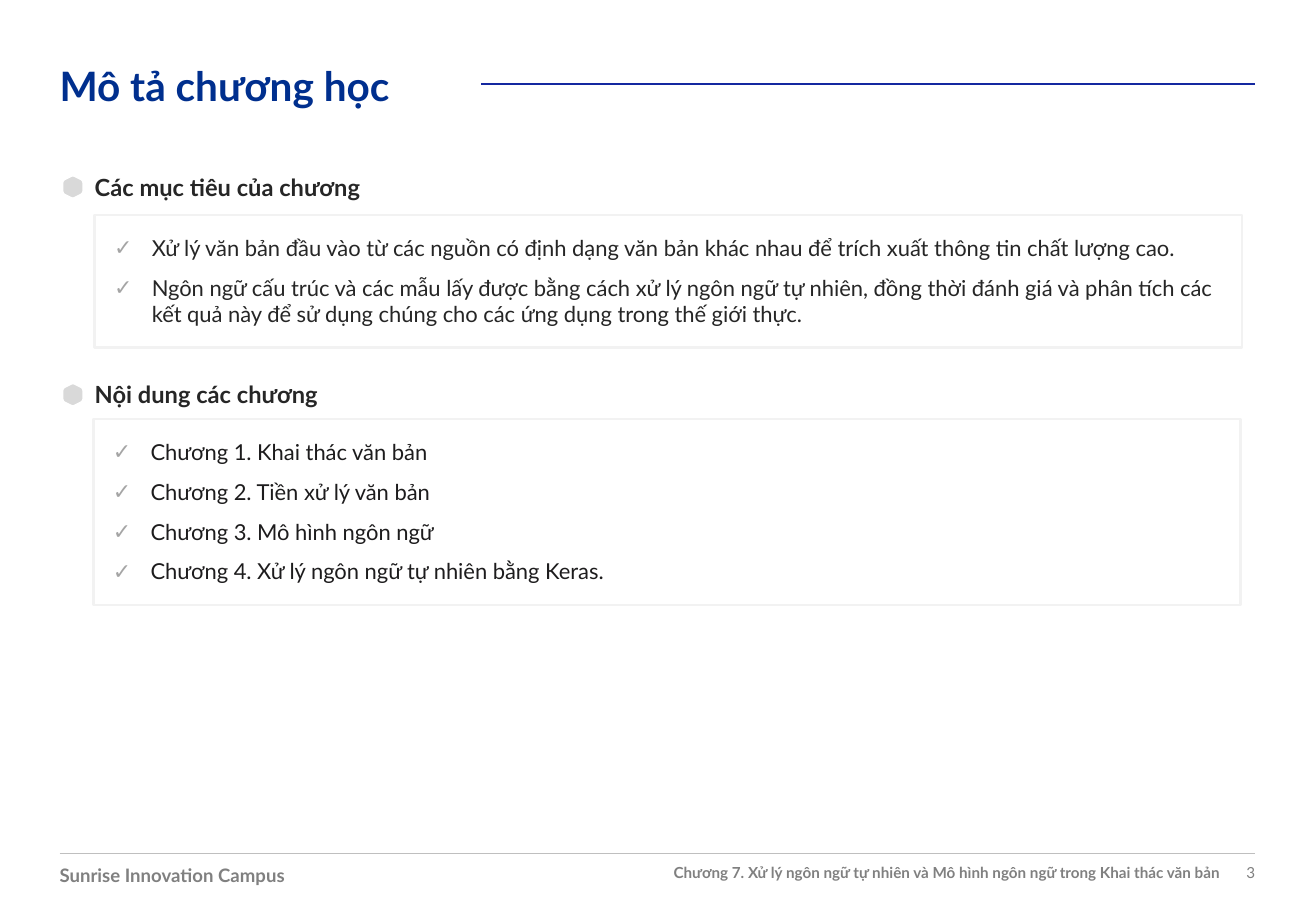
from dataclasses import dataclass

from lxml import etree
from pptx import Presentation
from pptx import util as u
from pptx.dml.color import RGBColor
from pptx.enum import shapes, text
from pptx.oxml.ns import qn


@dataclass(frozen=True)
class Theme:
    font: str = "Lato"
    title: str = "002F8E"
    title_rule: str = "1428A0"
    body: str = "262626"
    chapter: str = "1D1C1D"
    check: str = "A5A5A5"
    frame: str = "F2F2F2"
    hexagon: str = "D9D9D9"
    white: str = "FFFFFF"
    footer: str = "808080"
    footer_rule: str = "BFBFBF"
    title_size: int = 24
    heading_size: int = 14
    body_size: int = 13
    campus_size: int = 11
    footer_size: int = 9


THEME = Theme()
LEFT, RIGHT = 0.49, 10.33
PANEL_WIDTH = 9.44

GOALS = [
    "Xử lý văn bản đầu vào từ các nguồn có định dạng văn bản khác nhau để trích xuất "
    "thông tin chất lượng cao.",
    "Ngôn ngữ cấu trúc và các mẫu lấy được bằng cách xử lý ngôn ngữ tự nhiên, đồng thời "
    "đánh giá và phân tích các kết quả này để sử dụng chúng cho các ứng dụng trong thế giới thực.",
]
CHAPTERS = [
    "Chương 1. Khai thác văn bản",
    "Chương 2. Tiền xử lý văn bản",
    "Chương 3. Mô hình ngôn ngữ",
    "Chương 4. Xử lý ngôn ngữ tự nhiên bằng Keras.",
]


def rgb(color):
    return RGBColor.from_string(color)


def add_run(p, words, size, color, bold=False):
    r = p.add_run()
    r.text = words
    r.font.name = THEME.font
    r.font.size = u.Pt(size)
    r.font.bold = bold
    r.font.color.rgb = rgb(color)


def set_frame(tf, inset, anchor=text.MSO_ANCHOR.TOP):
    tf.word_wrap = True
    tf.vertical_anchor = anchor
    tf.margin_left = tf.margin_right = tf.margin_top = tf.margin_bottom = u.Inches(inset)


def add_label(s, box, words, size, color, bold=True,
              align=text.PP_ALIGN.LEFT, anchor=text.MSO_ANCHOR.TOP):
    tf = s.shapes.add_textbox(*map(u.Inches, box)).text_frame
    set_frame(tf, 0, anchor)
    p = tf.paragraphs[0]
    p.alignment = align
    add_run(p, words, size, color, bold)


def add_rule(s, x1, x2, y, color, width):
    line = s.shapes.add_connector(shapes.MSO_CONNECTOR.STRAIGHT,
                                  *map(u.Inches, (x1, y, x2, y)))
    line.line.color.rgb = rgb(color)
    line.line.width = u.Pt(width)
    etree.SubElement(line.element.spPr, qn("a:effectLst"))


def add_check(p):
    """Give the paragraph a hanging check-mark bullet."""
    pPr = p._p.get_or_add_pPr()
    pPr.set("marL", str(u.Inches(0.31)))
    pPr.set("indent", str(-u.Inches(0.31)))
    color = etree.SubElement(pPr, qn("a:buClr"))
    etree.SubElement(color, qn("a:srgbClr")).set("val", THEME.check)
    etree.SubElement(pPr, qn("a:buFont")).set("typeface", THEME.font)
    etree.SubElement(pPr, qn("a:buChar")).set("char", "✓")


def add_hexagon(s, left, top):
    """Draw a hexagon with softened corners, mirrored from its upper left part."""
    width, height = 0.24, 0.26
    quarter = [(0, 0.09), (0.01, 0.06), (0.03, 0.04), (0.09, 0.01), (0.12, 0)]
    upper = quarter + [(width - x, y) for x, y in reversed(quarter[:-1])]
    points = upper + [(x, height - y) for x, y in reversed(upper)]
    points = [(u.Inches(left + x), u.Inches(top + y)) for x, y in points]
    builder = s.shapes.build_freeform(*points[0])
    builder.add_line_segments(points[1:], close=True)
    sp = builder.convert_to_shape()
    sp.shadow.inherit = False
    sp.fill.solid()
    sp.fill.fore_color.rgb = rgb(THEME.hexagon)
    sp.line.color.rgb = rgb(THEME.white)
    sp.line.width = u.Pt(6)


def add_heading(s, left, top, words):
    add_label(s, (left, top, PANEL_WIDTH, 0.24), words, THEME.heading_size, THEME.body)
    add_hexagon(s, left - 0.3, top - 0.01)


def add_checklist(s, box, items, color):
    sp = s.shapes.add_shape(shapes.MSO_SHAPE.RECTANGLE, *map(u.Inches, box))
    sp.shadow.inherit = False
    sp.fill.background()
    sp.line.color.rgb = rgb(THEME.frame)
    sp.line.width = u.Pt(1.5)
    tf = sp.text_frame
    set_frame(tf, 0.16)
    for i, item in enumerate(items):
        p = tf.add_paragraph() if i else tf.paragraphs[0]
        add_check(p)
        p.alignment = text.PP_ALIGN.LEFT
        p.space_after = u.Pt(8)
        add_run(p, item, THEME.body_size, color)


def add_title(s, left, top, words):
    add_label(s, (left, top, 9.6, 0.4), words, THEME.title_size, THEME.title)
    add_rule(s, 3.96, RIGHT, top + 0.19, THEME.title_rule, 1)


def add_footer(s, top, campus, chapter, number):
    add_rule(s, LEFT, RIGHT, top, THEME.footer_rule, 0.5)
    row = top + 0.08
    add_label(s, (LEFT, row, 3.16, 0.19), campus, THEME.campus_size, THEME.footer)
    for left, width, words, bold in ((4.68, 5.35, chapter, True),
                                     (9.66, 0.67, number, False)):
        add_label(s, (left, row, width, 0.15), words, THEME.footer_size, THEME.footer,
                  bold, text.PP_ALIGN.RIGHT, text.MSO_ANCHOR.MIDDLE)


def main():
    prs = Presentation()
    prs.slide_width, prs.slide_height = u.Inches(10.83), u.Inches(7.5)
    s = prs.slides.add_slide(prs.slide_layouts[6])
    add_footer(s, 7.03, "Sunrise Innovation Campus",
               "Chương 7. Xử lý ngôn ngữ tự nhiên và Mô hình ngôn ngữ trong Khai thác văn bản", "3")
    add_heading(s, 0.78, 1.42, "Các mục tiêu của chương")
    add_checklist(s, (0.78, 1.77, PANEL_WIDTH, 1.09), GOALS, THEME.body)
    add_heading(s, 0.78, 3.13, "Nội dung các chương")
    add_checklist(s, (0.77, 3.45, PANEL_WIDTH, 1.53), CHAPTERS, THEME.chapter)
    add_title(s, LEFT, 0.5, "Mô tả chương học")
    prs.save("out.pptx")


if __name__ == "__main__":
    main()
